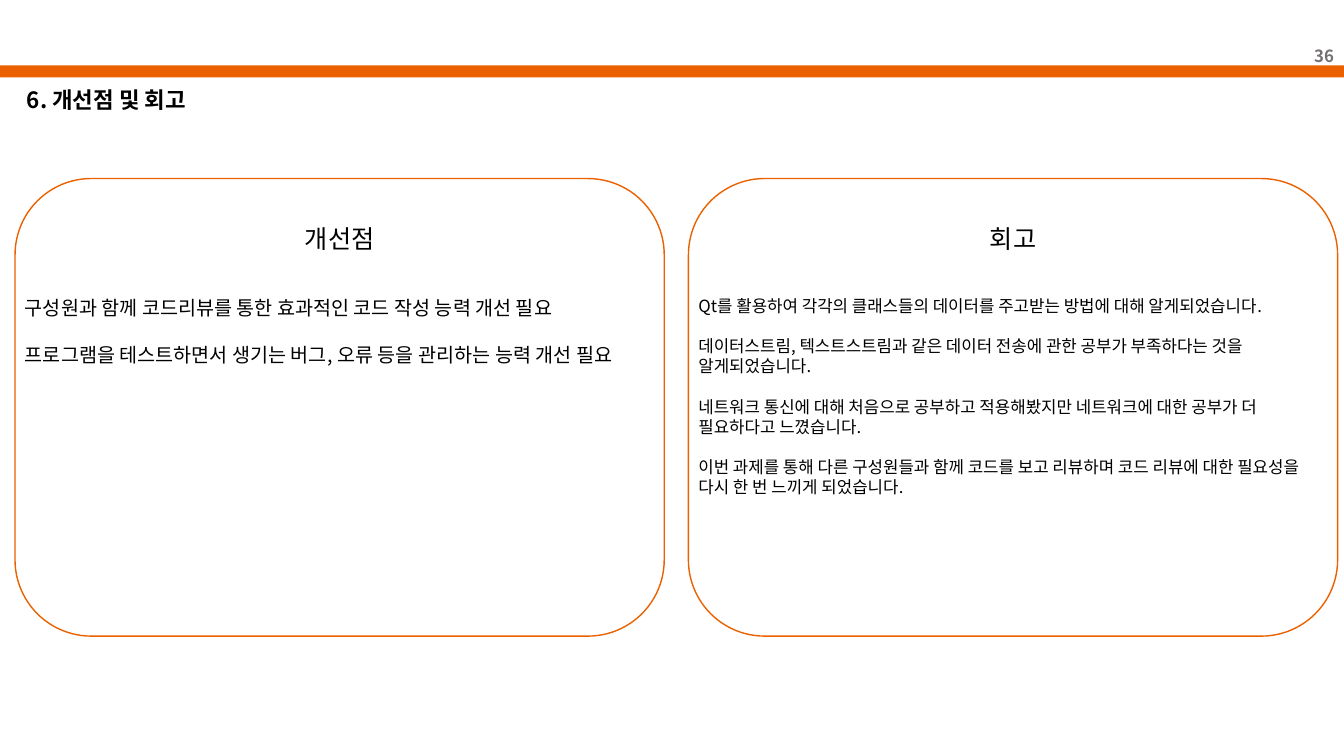
"""Build the improvements and retrospective slide."""
from dataclasses import dataclass

from lxml.etree import SubElement
from pptx import Presentation
from pptx.dml.color import RGBColor
from pptx.enum.shapes import MSO_SHAPE
from pptx.enum.text import MSO_ANCHOR, PP_ALIGN
from pptx.oxml.ns import qn
from pptx.slide import Slide
from pptx.util import Cm, Pt

COLORS = {"orange": "EB6100", "black": "000000", "gray": "767171"}
FONT = "Noto Sans CJK KR"
LINE_FACTOR = 1.2
SLIDE_WIDTH, SLIDE_HEIGHT = 33.87, 19.05
PANEL_TOP, PANEL_WIDTH, PANEL_HEIGHT = 4.5, 16.36, 11.53
PANEL_LEFT, PANEL_PITCH = 0.38, 16.97
HEADING_TOP, BODY_TOP, LINE_HEIGHT = 5.51, 7.32, 1.02


@dataclass
class Label:
    left: float
    top: float
    width: float
    height: float
    paragraphs: list[str]
    size: float
    color: str = "black"
    bold: bool = False
    align: PP_ALIGN = PP_ALIGN.LEFT
    anchor: MSO_ANCHOR = MSO_ANCHOR.TOP


@dataclass
class Panel:
    heading: str
    paragraphs: list[str]
    size: float
    body_height: float


HEADER_LABELS = [
    Label(32.16, 0.89, 1.71, LINE_HEIGHT, ["36"], 12, "gray", True,
          PP_ALIGN.RIGHT, MSO_ANCHOR.MIDDLE),
    Label(0.43, 2.01, 9.02, LINE_HEIGHT, ["6. 개선점 및 회고"], 16, bold=True,
          anchor=MSO_ANCHOR.MIDDLE),
]
PANELS = [
    Panel("개선점", [
        "구성원과 함께 코드리뷰를 통한 효과적인 코드 작성 능력 개선 필요",
        "프로그램을 테스트하면서 생기는 버그, 오류 등을 관리하는 능력 개선 필요",
    ], 14, 2.06),
    Panel("회고", [
        "Qt를 활용하여 각각의 클래스들의 데이터를 주고받는 방법에 대해 알게되었습니다.",
        "데이터스트림, 텍스트스트림과 같은 데이터 전송에 관한 공부가 부족하다는 것을 알게되었습니다.",
        "네트워크 통신에 대해 처음으로 공부하고 적용해봤지만 네트워크에 대한 공부가 더 필요하다고 느꼈습니다.",
        "이번 과제를 통해 다른 구성원들과 함께 코드를 보고 리뷰하며 코드 리뷰에 대한 필요성을 다시 한 번 느끼게 되었습니다.",
    ], 12, 5.38),
]


def draw_label(page: Slide, label: Label) -> None:
    box = page.shapes.add_textbox(
        Cm(label.left), Cm(label.top), Cm(label.width), Cm(label.height))
    frame = box.text_frame
    frame.word_wrap = True
    frame.vertical_anchor = label.anchor
    line_spacing = Pt(label.size * LINE_FACTOR)
    for index, text in enumerate(label.paragraphs):
        para = frame.add_paragraph() if index else frame.paragraphs[0]
        para.alignment = label.align
        para.line_spacing = line_spacing
        if index:
            para.space_before = line_spacing
        span = para.add_run()
        span.text = text
        span.font.name = FONT
        span.font.size = Pt(label.size)
        span.font.bold = label.bold
        span.font.color.rgb = RGBColor.from_string(COLORS[label.color])
        SubElement(span.font._element, qn("a:ea"), typeface=FONT)


def draw_bar(page: Slide) -> None:
    bar = page.shapes.add_shape(
        MSO_SHAPE.RECTANGLE, 0, Cm(1.65), Cm(SLIDE_WIDTH), Cm(0.3))
    bar.shadow.inherit = False
    bar.fill.solid()
    bar.fill.fore_color.rgb = RGBColor.from_string(COLORS["orange"])
    bar.line.fill.background()


def draw_panel(page: Slide, panel: Panel, left: float) -> None:
    outline = page.shapes.add_shape(
        MSO_SHAPE.ROUNDED_RECTANGLE, Cm(left), Cm(PANEL_TOP),
        Cm(PANEL_WIDTH), Cm(PANEL_HEIGHT))
    outline.shadow.inherit = False
    outline.fill.background()
    outline.line.color.rgb = RGBColor.from_string(COLORS["orange"])
    outline.line.width = Pt(1)
    draw_label(page, Label(left, HEADING_TOP, PANEL_WIDTH, LINE_HEIGHT,
                           [panel.heading], 18, align=PP_ALIGN.CENTER))
    draw_label(page, Label(left, BODY_TOP, PANEL_WIDTH, panel.body_height,
                           panel.paragraphs, panel.size))


def main() -> None:
    deck = Presentation()
    deck.slide_width, deck.slide_height = Cm(SLIDE_WIDTH), Cm(SLIDE_HEIGHT)
    page = deck.slides.add_slide(deck.slide_layouts[6])
    draw_bar(page)
    for label in HEADER_LABELS:
        draw_label(page, label)
    for index, panel in enumerate(PANELS):
        draw_panel(page, panel, PANEL_LEFT + index * PANEL_PITCH)
    deck.save("out.pptx")


if __name__ == "__main__":
    main()
